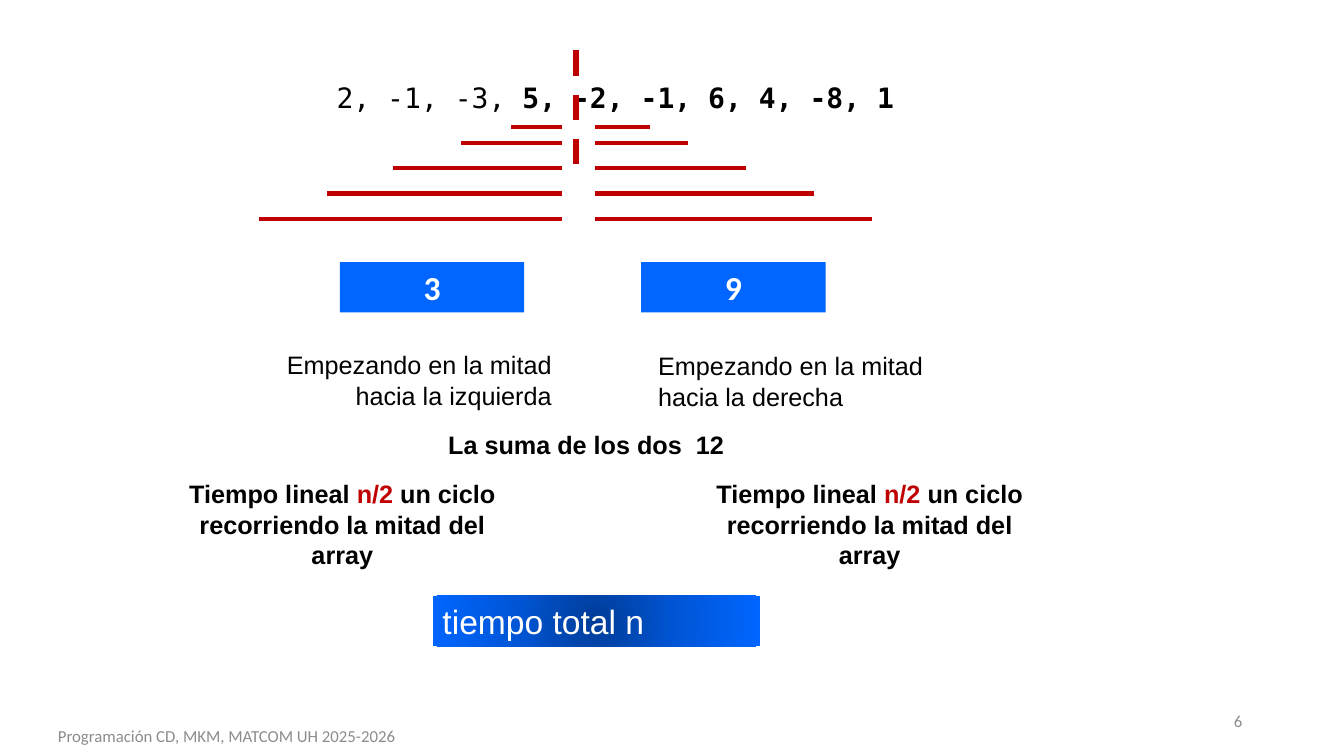
"""Build the slide on the largest sum that crosses the middle of an array."""
import pptx
import pptx.dml.color
import pptx.enum.dml
import pptx.enum.shapes
import pptx.enum.text
import pptx.oxml
import pptx.oxml.ns
import pptx.util
from pptx.util import Inches

COLORS = {
    "text": "000000",
    "accent": "C00000",
    "box": "0066FF",
    "box_middle": "0056D7",
    "box_center": "003C97",
    "light": "FFFFFF",
    "footer": "8C8C8C",
}
ALIGN = pptx.enum.text.PP_ALIGN
ANCHOR = pptx.enum.text.MSO_ANCHOR
SWEEPS = [
    (1.26, 5.07, 6.45),
    (1.42, 4.57, 6.82),
    (1.67, 3.9, 7.4),
    (1.92, 3.24, 8.07),
    (2.17, 2.57, 8.65),
]
LEFT_EDGE, RIGHT_EDGE = 5.57, 5.9


def color(name):
    return pptx.dml.color.RGBColor.from_string(COLORS[name])


def write(box, spans, size, font="Arial", align=ALIGN.LEFT, anchor=ANCHOR.TOP):
    frame = box.text_frame
    frame.word_wrap = True
    frame.vertical_anchor = anchor
    para = frame.paragraphs[0]
    para.alignment = align
    for text, bold, tint in spans:
        span = para.add_run()
        span.text = text
        span.font.name = font
        span.font.size = pptx.util.Pt(size)
        span.font.bold = bold
        span.font.color.rgb = color(tint)


def add_text(page, place, spans, size, **style):
    box = page.shapes.add_textbox(*map(Inches, place))
    write(box, spans, size, **style)


def add_box(page, place, spans, **style):
    box = page.shapes.add_shape(
        pptx.enum.shapes.MSO_SHAPE.RECTANGLE, *map(Inches, place))
    box.shadow.inherit = False
    box.fill.solid()
    box.fill.fore_color.rgb = color("box")
    box.line.fill.background()
    write(box, spans, 24, **style)
    return box


def add_line(page, start, end, width, dash=None):
    line = page.shapes.add_connector(
        pptx.enum.shapes.MSO_CONNECTOR.STRAIGHT, *map(Inches, start + end))
    line.line.color.rgb = color("accent")
    line.line.width = pptx.util.Pt(width)
    if dash:
        line.line.dash_style = dash
    properties = line._element.spPr
    properties.append(pptx.oxml.parse_xml(
        f'<a:effectLst {pptx.oxml.ns.nsdecls("a")}/>'))


def fill_radial(box, stops):
    marks = "".join(
        f'<a:gs pos="{percent * 1000}"><a:srgbClr val="{COLORS[name]}"/></a:gs>'
        for percent, name in stops)
    gradient = pptx.oxml.parse_xml(
        f'<a:gradFill {pptx.oxml.ns.nsdecls("a")} rotWithShape="1">'
        f'<a:gsLst>{marks}</a:gsLst><a:path path="circle">'
        '<a:fillToRect l="50000" t="50000" r="50000" b="50000"/>'
        '</a:path></a:gradFill>')
    properties = box._element.spPr
    solid = properties.find(pptx.oxml.ns.qn("a:solidFill"))
    properties.replace(solid, gradient)


def add_array(page):
    numbers = [("2, -1, -3, ", False, "text"),
               ("5, -2, -1, 6, 4, -8, 1", True, "text")]
    add_text(page, (3.24, 0.75, 7.17, 0.44), numbers, 20,
             font="DejaVu Sans Mono")
    add_line(page, (5.71, 0.5), (5.71, 1.67), 4.5,
             pptx.enum.dml.MSO_LINE.DASH)
    for height, left, right in SWEEPS:
        add_line(page, (left, height), (LEFT_EDGE, height), 3)
        add_line(page, (RIGHT_EDGE, height), (right, height), 3)


def add_halves(page):
    for left, total in ((3.37, "3"), (6.36, "9")):
        add_box(page, (left, 2.6, 1.83, 0.5), [(total, True, "light")],
                font="Calibri", align=ALIGN.CENTER)
    for place, side, align in (
            ((2.67, 3.42, 2.9, 0.71), "izquierda", ALIGN.RIGHT),
            ((6.43, 3.43, 3.43, 0.71), "derecha", ALIGN.LEFT)):
        label = f"Empezando en la mitad hacia la {side}"
        add_text(page, place, [(label, False, "text")], 18, align=align)
    cost = [("Tiempo lineal ", True, "text"), ("n/2", True, "accent"),
            (" un ciclo recorriendo la mitad del array", True, "text")]
    for left in (1.77, 7):
        add_text(page, (left, 4.7, 3.25, 1.01), cost, 18, align=ALIGN.CENTER)


def add_totals(page):
    add_text(page, (4.03, 4.21, 3.25, 0.4),
             [("La suma de los dos  12", True, "text")], 18, align=ALIGN.RIGHT)
    total = add_box(page, (4.29, 5.91, 3.25, 0.5),
                    [("tiempo total n", False, "light")])
    fill_radial(total, [(0, "box_center"), (50, "box_middle"), (100, "box")])


def add_footer(page):
    for place, text, align in (
            ((0, 7.1, 4.5, 0.4), "Programación CD, MKM, MATCOM UH 2025-2026",
             ALIGN.CENTER),
            ((9.42, 6.95, 3, 0.4), "6", ALIGN.RIGHT)):
        add_text(page, place, [(text, False, "footer")], 12, font="Calibri",
                 align=align, anchor=ANCHOR.MIDDLE)


def main():
    deck = pptx.Presentation()
    deck.slide_width = Inches(13.33)
    deck.slide_height = Inches(7.5)
    page = deck.slides.add_slide(deck.slide_layouts[6])
    add_array(page)
    add_halves(page)
    add_totals(page)
    add_footer(page)
    deck.save("out.pptx")


if __name__ == "__main__":
    main()
